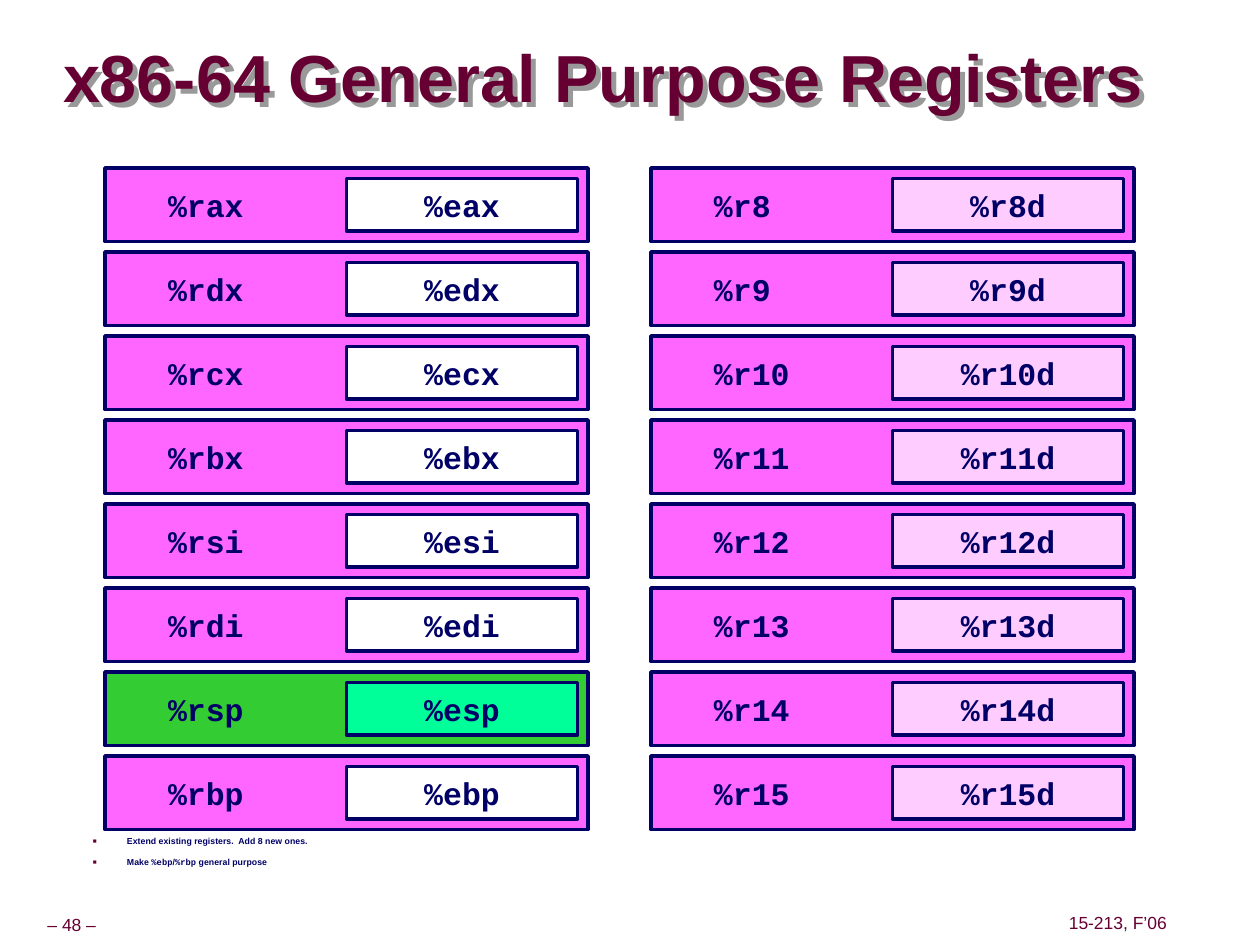
from lxml.etree import SubElement
from pptx import Presentation
from pptx.dml.color import RGBColor
from pptx.enum.shapes import MSO_SHAPE
from pptx.enum.text import MSO_ANCHOR, PP_ALIGN
from pptx.oxml.ns import qn
from pptx.util import Pt

TITLE = "x86-64 General Purpose Registers"
FOOTERS = [("– 48 –", 6.5, 519.8, 69), ("15-213, F’06", 607, 519.1, 63.4)]
OLD = ["ax", "dx", "cx", "bx", "si", "di", "sp", "bp"]
COLUMNS = [
    (60, [(f"%r{name}", f"%e{name}") for name in OLD], "FFFFFF"),
    (372, [(f"%r{n}", f"%r{n}d") for n in range(8, 16)], "FFCCFF"),
]
STACK_POINTER = "%rsp"
NOTES = [
    [("Extend existing registers.  Add 8 new ones.", "Arial")],
    [("Make ", "Arial"), ("%ebp", "Courier New"), ("/", "Arial"),
     ("%rbp", "Courier New"), (" general purpose", "Arial")],
]
NAVY, MAROON = "000066", "660033"
TOP, PITCH = 96, 48


def rgb(value):
    return RGBColor.from_string(value)


def style(r, size, font, color, bold=True):
    r.font.size, r.font.name, r.font.bold = Pt(size), font, bold
    r.font.color.rgb = rgb(color)


def frame(sp, insets, anchor=MSO_ANCHOR.MIDDLE, wrap=True):
    tf = sp.text_frame
    tf.word_wrap, tf.vertical_anchor = wrap, anchor
    tf.margin_left, tf.margin_top, tf.margin_right, tf.margin_bottom = map(Pt, insets)
    return tf


def textbox(s, left, top, width, height):
    return s.shapes.add_textbox(Pt(left), Pt(top), Pt(width), Pt(height))


def add_register(s, text, left, top, width, height, fill, align, inset):
    sp = s.shapes.add_shape(MSO_SHAPE.RECTANGLE, Pt(left), Pt(top), Pt(width), Pt(height))
    sp.shadow.inherit = False
    sp.fill.solid()
    sp.fill.fore_color.rgb = rgb(fill)
    sp.line.color.rgb = rgb(NAVY)
    sp.line.width = Pt(2)
    p = frame(sp, (inset, 3.6, 7.2, 3.6)).paragraphs[0]
    p.text, p.alignment = text, align
    style(p.runs[0], 18, "Courier New", NAVY)


def add_title(s):
    sp = textbox(s, 36, 24, 630, 45)
    p = frame(sp, (0, 0, 0, 0)).paragraphs[0]
    p.text, p.line_spacing = TITLE, 0.87
    style(p.runs[0], 38, "Arial", MAROON)
    effects = SubElement(sp.element.spPr, qn("a:effectLst"))
    shadow = SubElement(effects, qn("a:outerShdw"), dist=str(Pt(4)), dir="2700000",
                        algn="ctr", rotWithShape="0")
    SubElement(shadow, qn("a:srgbClr"), val="999999")


def add_notes(s):
    tf = frame(textbox(s, 23, 474, 577.5, 27), (7.2, 3.6, 7.2, 3.6), MSO_ANCHOR.TOP)
    for i, parts in enumerate(NOTES):
        p = tf.add_paragraph() if i else tf.paragraphs[0]
        p.space_before = Pt(6.2)
        pPr = p._p.get_or_add_pPr()
        pPr.set("marL", str(Pt(42.5)))
        pPr.set("indent", str(Pt(-19.5)))
        SubElement(SubElement(pPr, qn("a:buClr")), qn("a:srgbClr"), val=MAROON)
        SubElement(pPr, qn("a:buSzPct"), val="75000")
        SubElement(pPr, qn("a:buFont"), typeface="Arial")
        SubElement(pPr, qn("a:buChar"), char="■")
        for text, font in parts:
            r = p.add_run()
            r.text = text
            style(r, 5, font, NAVY)


def main():
    """Build the register overview slide."""
    prs = Presentation()
    prs.slide_width, prs.slide_height = Pt(720), Pt(540)
    s = prs.slides.add_slide(prs.slide_layouts[6])
    for text, left, top, width in FOOTERS:
        p = frame(textbox(s, left, top, width, 18), (3.6,) * 4, wrap=False).paragraphs[0]
        p.text, p.alignment, p.line_spacing = text, PP_ALIGN.CENTER, 0.9
        style(p.runs[0], 10, "Arial", MAROON, False)
    add_title(s)
    add_notes(s)
    for left, registers, half_fill in COLUMNS:
        for row, (full, half) in enumerate(registers):
            top = TOP + row * PITCH
            fills = ("33CC33", "00FF99") if full == STACK_POINTER else ("FF66FF", half_fill)
            add_register(s, full, left, top, 276, 42, fills[0], PP_ALIGN.LEFT, 36)
            add_register(s, half, left + 138, top + 6, 132, 30, fills[1], PP_ALIGN.CENTER, 7.2)
    prs.save("out.pptx")


if __name__ == "__main__":
    main()
